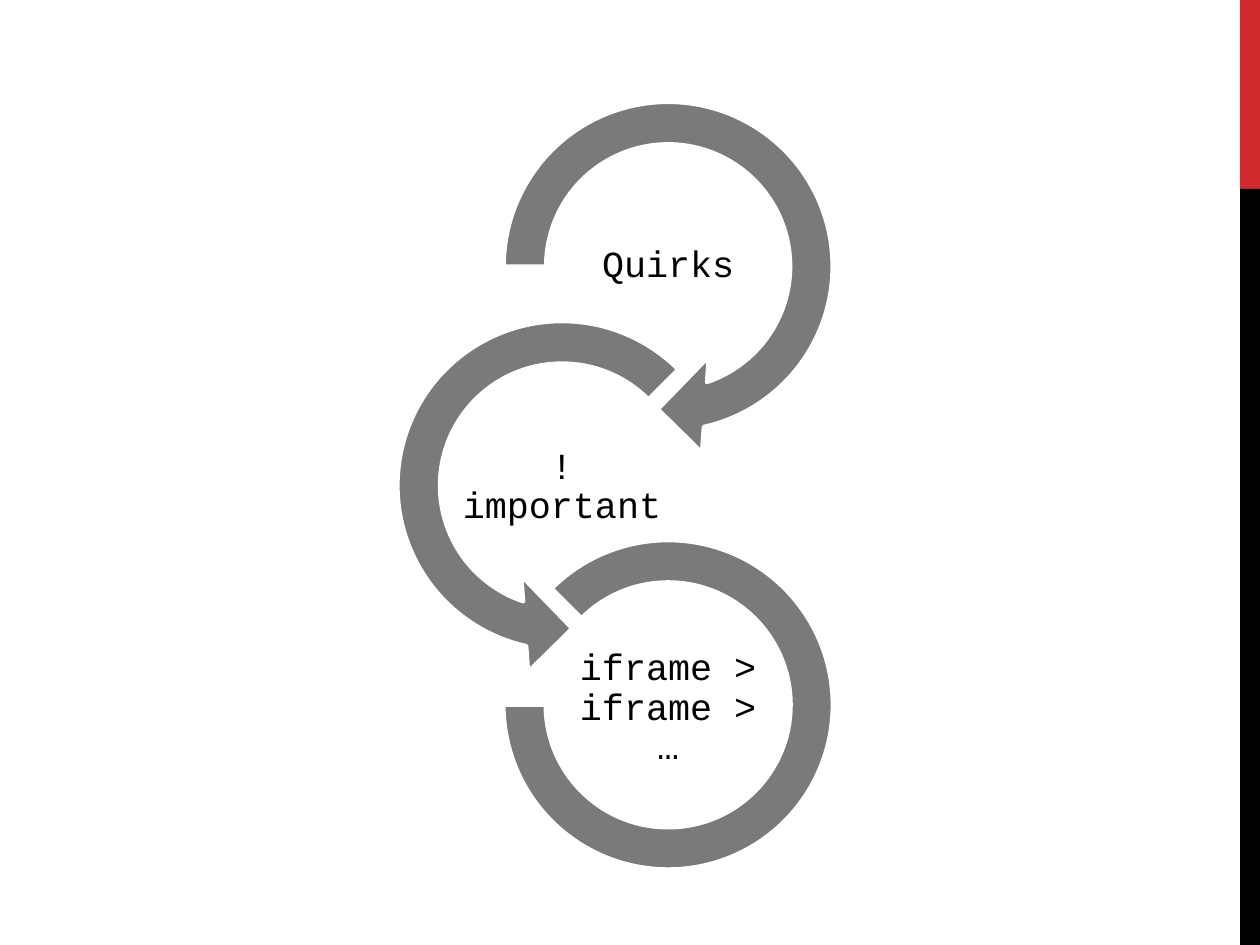
from dataclasses import dataclass

from pptx import Presentation
from pptx.dml.color import RGBColor
from pptx.enum import shapes, text
from pptx.util import Cm, Pt

FIRST_RING_Y, RING_PITCH = 5.37, 4.42
FIRST_LABEL_Y, LABEL_PITCH = 5.36, 4.46
LABEL_WIDTH, LABEL_HEIGHT = 4.27, 2.13
BAR_LEFT, BAR_WIDTH = 25.0, 0.4


@dataclass(frozen=True)
class Bar:
    top: float
    height: float
    color: str


@dataclass(frozen=True)
class Ring:
    kind: shapes.MSO_SHAPE
    center_x: float
    size: float
    adjustments: tuple[float, ...]
    label: str


BARS = [Bar(0, 3.81, "D1282E"), Bar(3.81, 15.24, "000000")]
RINGS = [
    Ring(shapes.MSO_SHAPE.CIRCULAR_ARROW, 13.47, 7.7,
         (0.11, 11.42, 45, 108, 0.125), "Quirks"),
    Ring(shapes.MSO_SHAPE.LEFT_CIRCULAR_ARROW, 11.33, 7.7,
         (0.11, 11.42, 63, 189, 0.125), "!important"),
    Ring(shapes.MSO_SHAPE.BLOCK_ARC, 13.47, 6.63,
         (135, 108, 0.127), "iframe > iframe > …"),
]


def rgb(color: str) -> RGBColor:
    return RGBColor.from_string(color)


def draw_bar(page, bar: Bar) -> None:
    box = page.shapes.add_shape(shapes.MSO_SHAPE.RECTANGLE, Cm(BAR_LEFT), Cm(bar.top),
                                Cm(BAR_WIDTH), Cm(bar.height))
    box.shadow.inherit = False
    box.fill.solid()
    box.fill.fore_color.rgb = rgb(bar.color)
    box.line.fill.background()


def draw_ring(page, ring: Ring, center_y: float) -> None:
    arc = page.shapes.add_shape(ring.kind, Cm(ring.center_x - ring.size / 2),
                                Cm(center_y - ring.size / 2), Cm(ring.size), Cm(ring.size))
    for index, value in enumerate(ring.adjustments):
        arc.adjustments[index] = value
    arc.shadow.inherit = False
    arc.fill.solid()
    arc.fill.fore_color.rgb = rgb("7A7A7A")
    arc.line.color.rgb = rgb("FFFFFF")
    arc.line.width = Pt(2.25)


def draw_label(page, ring: Ring, center_y: float) -> None:
    box = page.shapes.add_textbox(Cm(ring.center_x - LABEL_WIDTH / 2),
                                  Cm(center_y - LABEL_HEIGHT / 2),
                                  Cm(LABEL_WIDTH), Cm(LABEL_HEIGHT))
    frame = box.text_frame
    frame.word_wrap = True
    frame.vertical_anchor = text.MSO_ANCHOR.MIDDLE
    frame.margin_left = frame.margin_right = Cm(0.03)
    frame.margin_top = frame.margin_bottom = Cm(0.03)
    frame.text = ring.label
    para = frame.paragraphs[0]
    para.alignment = text.PP_ALIGN.CENTER
    para.line_spacing = 0.9
    para.space_after = Pt(7.35)
    for span in para.runs:
        span.font.name = "Courier New"
        span.font.size = Pt(21)
        span.font.color.rgb = rgb("000000")


def main() -> None:
    deck = Presentation()
    deck.slide_width, deck.slide_height = Cm(25.4), Cm(19.05)
    page = deck.slides.add_slide(deck.slide_layouts.get_by_name("Blank"))
    for bar in BARS:
        draw_bar(page, bar)
    for index, ring in enumerate(RINGS):
        draw_ring(page, ring, FIRST_RING_Y + index * RING_PITCH)
        draw_label(page, ring, FIRST_LABEL_Y + index * LABEL_PITCH)
    deck.save("out.pptx")


if __name__ == "__main__":
    main()
